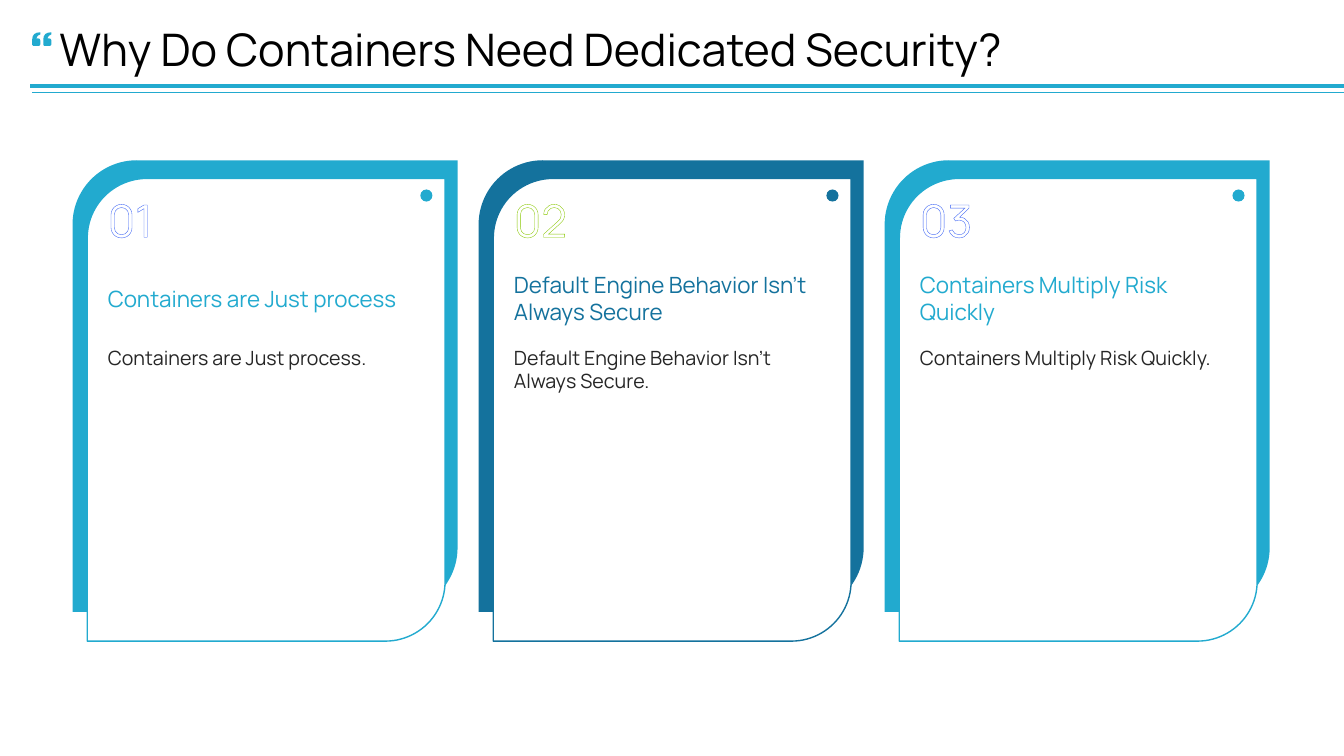
from lxml import etree
from pptx import Presentation, util as u
from pptx.dml.color import RGBColor
from pptx.enum import shapes, text
from pptx.oxml import ns

COLUMNS, ROWS = 160, 90
SKY, OCEAN, BLUE, GREEN = "22AACF", "14729D", "3860F4", "89C700"
WHITE, BLACK, INK = "FFFFFF", "000000", "262626"
CARD_LEFT, CARD_PITCH = 8.64, 48.34
CARDS = [
    ("01", "Containers are Just process", SKY, BLUE),
    ("02", "Default Engine Behavior Isn't Always Secure", OCEAN, GREEN),
    ("03", "Containers Multiply Risk Quickly", SKY, BLUE),
]
QUOTE_MARK = [
    (0.72, 1.62), (0.12, 1.62), (0, 1.5), (0, 0.84), (0.06, 0.5),
    (0.24, 0.22), (0.54, 0.06), (0.96, 0), (0.96, 0.26), (0.66, 0.42),
    (0.48, 0.74), (0.72, 0.74), (0.9, 0.8), (0.96, 0.98), (0.96, 1.44),
    (0.9, 1.58),
]


def color(value):
    return RGBColor.from_string(value)


def write(box, content, size=14, ink=INK, font="Manrope", outline=None,
          anchor=text.MSO_ANCHOR.TOP):
    frame = box.text_frame
    frame.auto_size = text.MSO_AUTO_SIZE.NONE
    frame.word_wrap = True
    frame.vertical_anchor = anchor
    frame.margin_left = frame.margin_right = 0
    frame.margin_top = frame.margin_bottom = 0
    para = frame.paragraphs[0]
    para.alignment = text.PP_ALIGN.LEFT
    span = para.add_run()
    span.text = content
    span.font.size = u.Pt(size)
    span.font.name = font
    span.font.color.rgb = color(ink)
    if outline:
        properties = span.font._element
        line = etree.Element(ns.qn("a:ln"), w=str(u.Pt(1.25)))
        fill = etree.SubElement(line, ns.qn("a:solidFill"))
        etree.SubElement(fill, ns.qn("a:srgbClr"), val=outline)
        properties.insert(0, line)


class Page:
    def __init__(self, deck):
        self.width, self.height = deck.slide_width, deck.slide_height
        self.slide = deck.slides.add_slide(deck.slide_layouts[5])
        self.shapes = self.slide.shapes

    def x(self, columns):
        return round(self.width * columns / COLUMNS)

    def y(self, rows):
        return round(self.height * rows / ROWS)

    def area(self, left, top, width, height):
        return self.x(left), self.y(top), self.x(width), self.y(height)

    def title(self, content, *area):
        box = self.shapes.title
        box.left, box.top, box.width, box.height = self.area(*area)
        write(box, content, size=32, ink=BLACK, anchor=text.MSO_ANCHOR.MIDDLE)

    def label(self, content, *area, **style):
        write(self.shapes.add_textbox(*self.area(*area)), content, **style)

    def paint(self, shape, fill, line=None):
        shape.shadow.inherit = False
        shape.fill.solid()
        shape.fill.fore_color.rgb = color(fill)
        if line:
            shape.line.color.rgb = color(line)
            shape.line.width = u.Pt(1)
        else:
            shape.line.fill.background()

    def shape(self, kind, *area, fill, line=None):
        self.paint(self.shapes.add_shape(kind, *self.area(*area)), fill, line)

    def rule(self, left, row, weight):
        line = self.shapes.add_connector(
            shapes.MSO_CONNECTOR.STRAIGHT,
            self.x(left), self.y(row), self.width, self.y(row))
        line.line.color.rgb = color(SKY)
        line.line.width = u.Pt(weight)
        etree.SubElement(line._element.spPr, ns.qn("a:effectLst"))

    def quotes(self, left, top, gap):
        marks = [[(self.x(left + shift + column), self.y(top + row))
                  for column, row in QUOTE_MARK] for shift in (0, gap)]
        first, second = marks
        builder = self.shapes.build_freeform(*first[0])
        builder.add_line_segments(first[1:])
        builder.move_to(*second[0])
        builder.add_line_segments(second[1:])
        self.paint(builder.convert_to_shape(), SKY)

    def card(self, left, number, heading, accent, outline):
        inset = left + 4.2
        leaf = shapes.MSO_SHAPE.ROUND_2_DIAG_RECTANGLE
        self.shape(leaf, left, 19.08, 45.84, 53.76, fill=accent)
        self.shape(leaf, left + 1.74, 21.24, 42.6, 55.08, fill=WHITE, line=accent)
        self.label(number, inset, 22.92, 10.92, 6.84,
                   size=32, ink=WHITE, outline=outline)
        self.label(heading + ".", inset, 41.16, 37.92, 29.04)
        self.shape(shapes.MSO_SHAPE.OVAL, left + 41.4, 22.56, 1.44, 1.44, fill=accent)
        self.label(heading, inset, 30.96, 37.92, 9.12,
                   size=16, ink=accent, anchor=text.MSO_ANCHOR.MIDDLE)


def main():
    deck = Presentation()
    deck.slide_width, deck.slide_height = u.Inches(13.33), u.Inches(7.5)
    page = Page(deck)
    for index, card in enumerate(CARDS):
        page.card(CARD_LEFT + index * CARD_PITCH, *card)
    page.title("Why Do Containers Need Dedicated Security?", 7.08, 3, 146, 5.64)
    page.quotes(3.84, 3.84, 1.32)
    page.rule(3.6, 10.26, 3)
    page.rule(3.84, 11.04, 0.75)
    deck.save("out.pptx")


if __name__ == "__main__":
    main()
